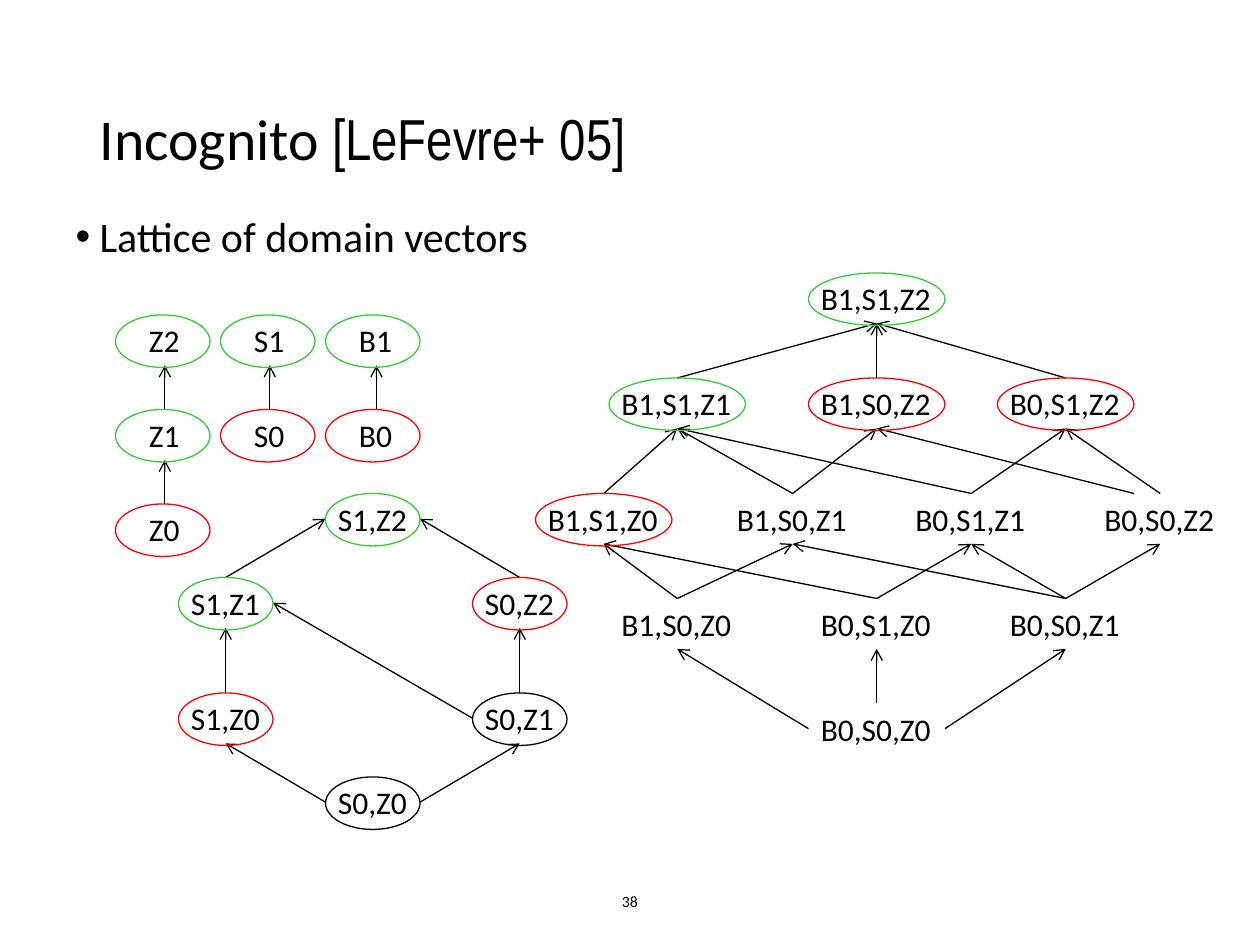
import pptx
import pptx.util
import pptx.dml.color
import pptx.enum.shapes
import pptx.enum.text
import pptx.oxml
import pptx.oxml.ns

PX = 7620  # 120 px to the inch
TOP, LEFT, BOTTOM, RIGHT = range(4)
LABEL_HEIGHT, RING_HEIGHT = 48, 50
COLORS = {"black": "000000", "red": "FF0000", "green": "33CC33"}

# label: (x, y, ring colour or None)
B_NODES = {"B0": (330, 390, "red"), "B1": (330, 300, "green")}
S_AND_Z_NODES = {
    "S0": (230, 390, "red"), "S1": (230, 300, "green"),
    "Z0": (130, 480, "red"), "Z1": (130, 390, "green"), "Z2": (130, 300, "green"),
}
PAIR_NODES = {
    "S0,Z0": (310, 740, "black"),
    "S1,Z0": (170, 660, "red"), "S0,Z1": (450, 660, "black"),
    "S1,Z1": (170, 550, "green"), "S0,Z2": (450, 550, "red"),
    "S1,Z2": (310, 470, "green"),
}
TRIPLE_NODES = {
    "B0,S0,Z0": (770, 670, None),
    "B1,S0,Z0": (580, 570, None), "B0,S1,Z0": (770, 570, None),
    "B0,S0,Z1": (950, 570, None),
    "B1,S1,Z0": (510, 470, "red"), "B1,S0,Z1": (690, 470, None),
    "B0,S1,Z1": (860, 470, None), "B0,S0,Z2": (1040, 470, None),
    "B1,S1,Z1": (580, 360, "green"), "B1,S0,Z2": (770, 360, "red"),
    "B0,S1,Z2": (950, 360, "red"),
    "B1,S1,Z2": (770, 260, "green"),
}
# nodes, label width, ring width, ring offset from the label
LATTICES = [
    (B_NODES, 57, 90, -20),
    (S_AND_Z_NODES, 54, 90, -20),
    (PAIR_NODES, 90, 90, 0),
    (TRIPLE_NODES, 130, 130, 0),
]

# start: ends reached from its top side to their bottom side
UPWARD_EDGES = {
    "B0": ["B1"], "S0": ["S1"], "Z0": ["Z1"], "Z1": ["Z2"],
    "S1,Z0": ["S1,Z1"], "S0,Z1": ["S0,Z2"],
    "B0,S0,Z0": ["B0,S1,Z0"],
    "B1,S0,Z0": ["B1,S1,Z0", "B1,S0,Z1"],
    "B0,S1,Z0": ["B1,S1,Z0", "B0,S1,Z1"],
    "B0,S0,Z1": ["B0,S0,Z2", "B0,S1,Z1", "B1,S0,Z1"],
    "B1,S1,Z0": ["B1,S1,Z1"],
    "B1,S0,Z1": ["B1,S1,Z1", "B1,S0,Z2"],
    "B0,S1,Z1": ["B0,S1,Z2", "B1,S1,Z1"],
    "B0,S0,Z2": ["B0,S1,Z2"],
    "B1,S1,Z1": ["B1,S1,Z2"], "B1,S0,Z2": ["B1,S1,Z2"], "B0,S1,Z2": ["B1,S1,Z2"],
}
SIDE_EDGES = [
    ("S0,Z0", LEFT, "S1,Z0", BOTTOM), ("S0,Z0", RIGHT, "S0,Z1", BOTTOM),
    ("S1,Z1", TOP, "S1,Z2", LEFT), ("S0,Z2", TOP, "S1,Z2", RIGHT),
    ("S0,Z1", LEFT, "S1,Z1", RIGHT),
    ("B0,S0,Z0", LEFT, "B1,S0,Z0", BOTTOM), ("B0,S0,Z0", RIGHT, "B0,S0,Z1", BOTTOM),
]


class SlideBuilder:
    def __init__(self, page, font="Calibri", line_width=0.75):
        self.page = page
        self.font = font
        self.line_width = pptx.util.Pt(line_width)

    def color(self, name):
        return pptx.dml.color.RGBColor.from_string(COLORS[name])

    def add_span(self, para, text, size, font=None):
        span = para.add_run()
        span.text = text
        span.font.size = pptx.util.Pt(size)
        span.font.name = font or self.font
        span.font.color.rgb = self.color("black")

    def place(self, box, x, y, width, height):
        box.left, box.top, box.width, box.height = (
            value * PX for value in (x, y, width, height))
        box.text_frame.auto_size = pptx.enum.text.MSO_AUTO_SIZE.NONE

    def title(self, spans, frame):
        box = self.page.shapes.title
        self.place(box, *frame)
        box.text_frame.vertical_anchor = pptx.enum.text.MSO_ANCHOR.MIDDLE
        para = box.text_frame.paragraphs[0]
        para.alignment = pptx.enum.text.PP_ALIGN.LEFT
        para.line_spacing = 0.9
        for text, font in spans:
            self.add_span(para, text, 33, font)

    def bullets(self, items, frame):
        box = self.page.placeholders[1]
        self.place(box, *frame)
        for index, item in enumerate(items):
            para = (box.text_frame.add_paragraph() if index
                    else box.text_frame.paragraphs[0])
            para.line_spacing = 0.9
            para.space_before = pptx.util.Pt(7.5 if index else 0)
            properties = para._p.get_or_add_pPr()
            indent = pptx.util.Inches(0.19)
            properties.set("marL", str(indent))
            properties.set("indent", str(-indent))
            bullet = pptx.oxml.parse_xml(
                f'<a:buChar {pptx.oxml.ns.nsdecls("a")} char="•"/>')
            properties.append(bullet)
            self.add_span(para, item, 24)

    def page_number(self, text, frame):
        box = self.page.shapes.add_textbox(0, 0, 0, 0)
        self.place(box, *frame)
        box.text_frame.word_wrap = True
        box.text_frame.vertical_anchor = pptx.enum.text.MSO_ANCHOR.MIDDLE
        para = box.text_frame.paragraphs[0]
        para.alignment = pptx.enum.text.PP_ALIGN.CENTER
        self.add_span(para, text, 9)

    def label(self, text, x, y, width):
        box = self.page.shapes.add_textbox(0, 0, 0, 0)
        self.place(box, x, y, width, LABEL_HEIGHT)
        box.text_frame.word_wrap = False
        box.text_frame.auto_size = pptx.enum.text.MSO_AUTO_SIZE.SHAPE_TO_FIT_TEXT
        self.add_span(box.text_frame.paragraphs[0], text, 18)
        return box

    def ring(self, x, y, width, color):
        oval = self.page.shapes.add_shape(
            pptx.enum.shapes.MSO_SHAPE.OVAL,
            x * PX, y * PX, width * PX, RING_HEIGHT * PX)
        oval.shadow.inherit = False
        oval.fill.background()
        oval.line.color.rgb = self.color(color)
        oval.line.width = self.line_width

    def arrow(self, end_box, end_side, start_box=None, start_side=TOP, start=(0, 0)):
        """Draw an arrow from a side of start_box, or from a free start point."""
        connector = self.page.shapes.add_connector(
            pptx.enum.shapes.MSO_CONNECTOR.STRAIGHT, start[0] * PX, start[1] * PX, 0, 0)
        if start_box is not None:
            connector.begin_connect(start_box, start_side)
        connector.end_connect(end_box, end_side)
        connector.line.color.rgb = self.color("black")
        connector.line.width = self.line_width
        namespace = pptx.oxml.ns.nsdecls("a")
        connector.line._get_or_add_ln().append(
            pptx.oxml.parse_xml(f'<a:tailEnd {namespace} type="arrow"/>'))
        connector._element.spPr.append(
            pptx.oxml.parse_xml(f"<a:effectLst {namespace}/>"))


def main():
    deck = pptx.Presentation()
    deck.slide_width, deck.slide_height = 1200 * PX, 900 * PX
    builder = SlideBuilder(deck.slides.add_slide(deck.slide_layouts[1]))

    builder.title([("Incognito ", None), ("[LeFevre+ 05]", "Arial Narrow")],
                  (83, 48, 1034, 174))
    builder.bullets(["Lattice of domain vectors"], (60, 200, 1140, 650))
    builder.page_number("38", (397, 834, 406, 48))

    boxes = {}
    for nodes, label_width, _, _ in LATTICES:
        for text, (x, y, _) in nodes.items():
            boxes[text] = builder.label(text, x, y, label_width)

    for start, ends in UPWARD_EDGES.items():
        for end in ends:
            builder.arrow(boxes[end], BOTTOM, boxes[start])
    for start, start_side, end, end_side in SIDE_EDGES:
        builder.arrow(boxes[end], end_side, boxes[start], start_side)
    builder.arrow(boxes["B1,S0,Z2"], BOTTOM, start=(1080, 470))

    for nodes, _, ring_width, offset in LATTICES:
        for x, y, color in nodes.values():
            if color:
                builder.ring(x + offset, y, ring_width, color)

    deck.save("out.pptx")


if __name__ == "__main__":
    main()
